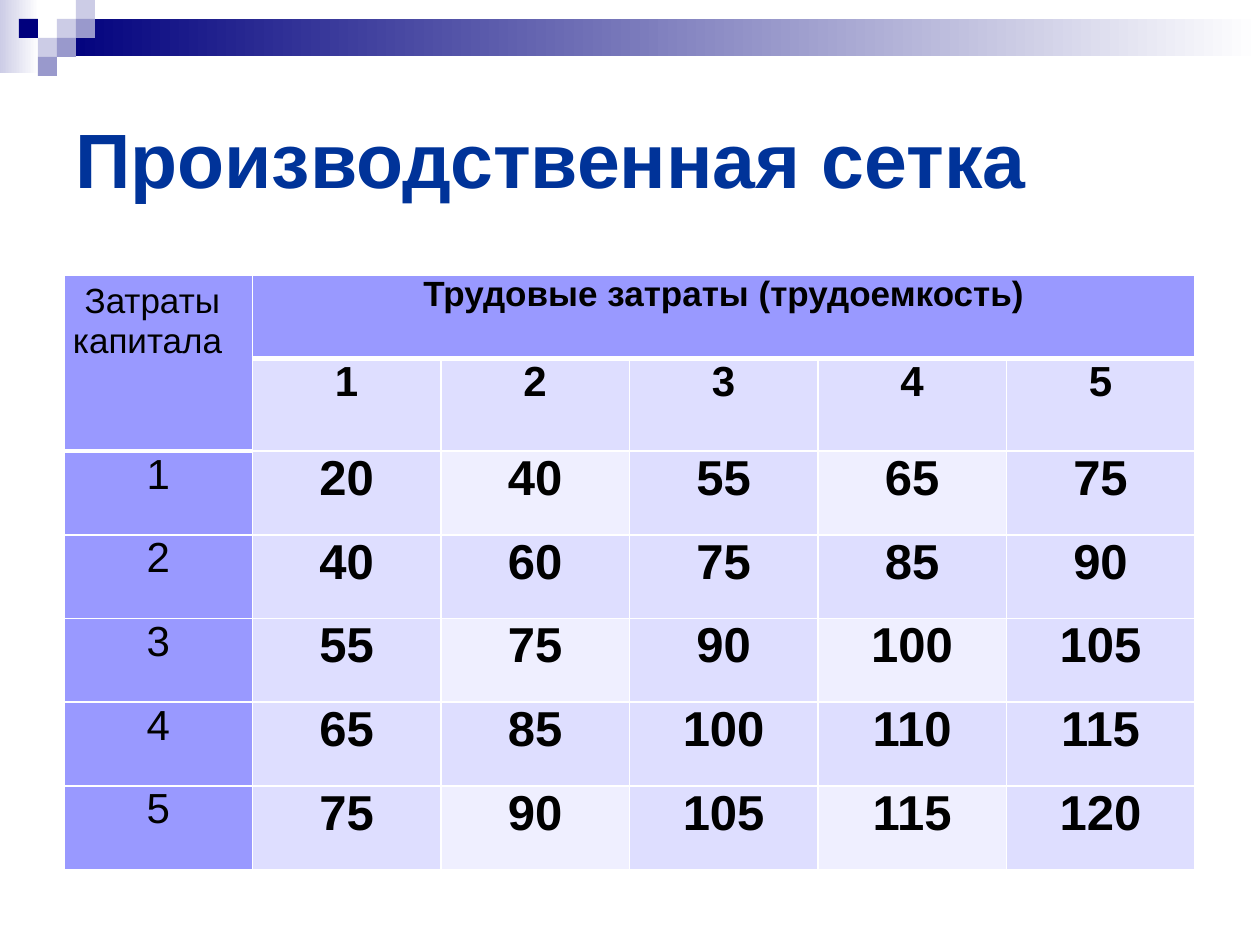
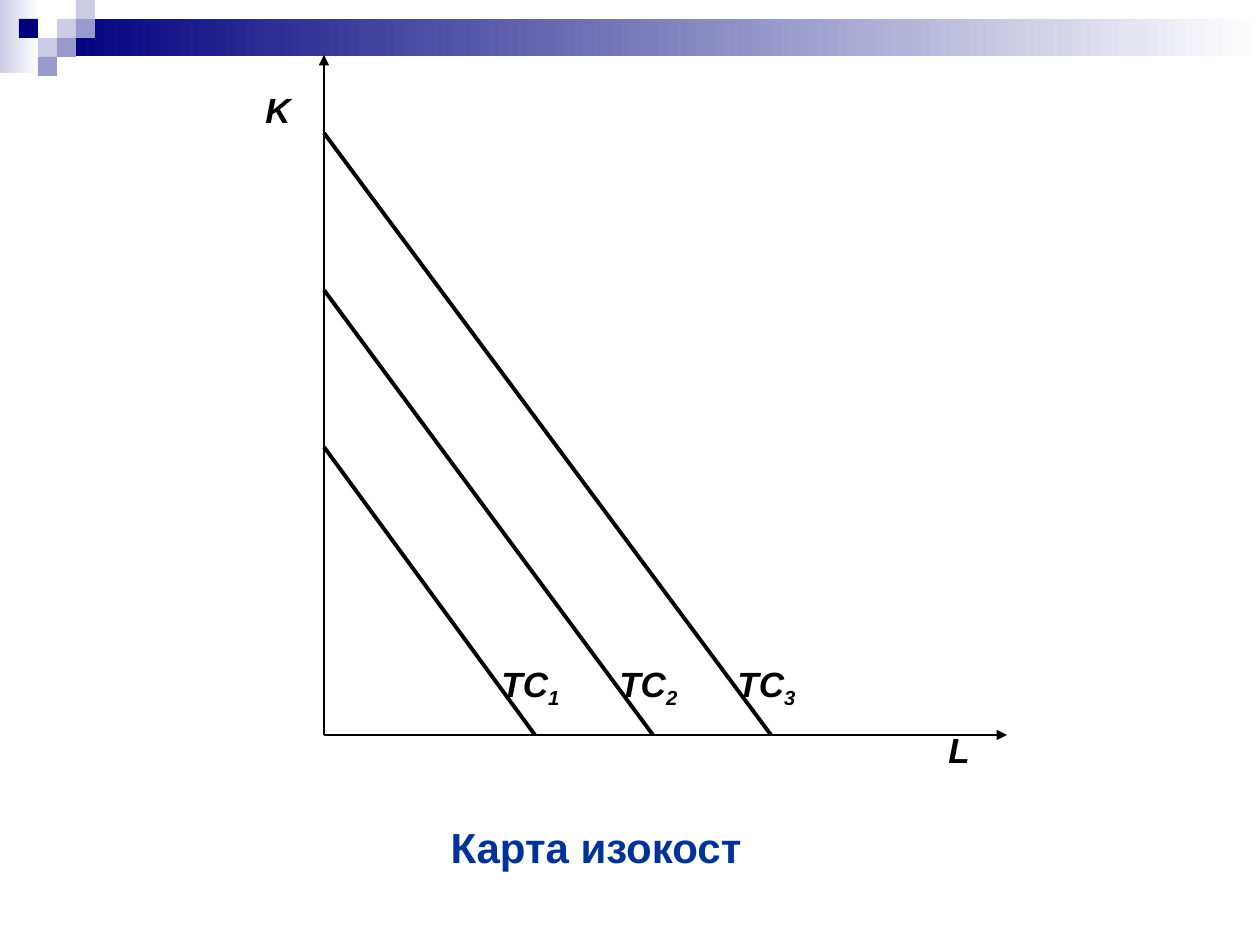
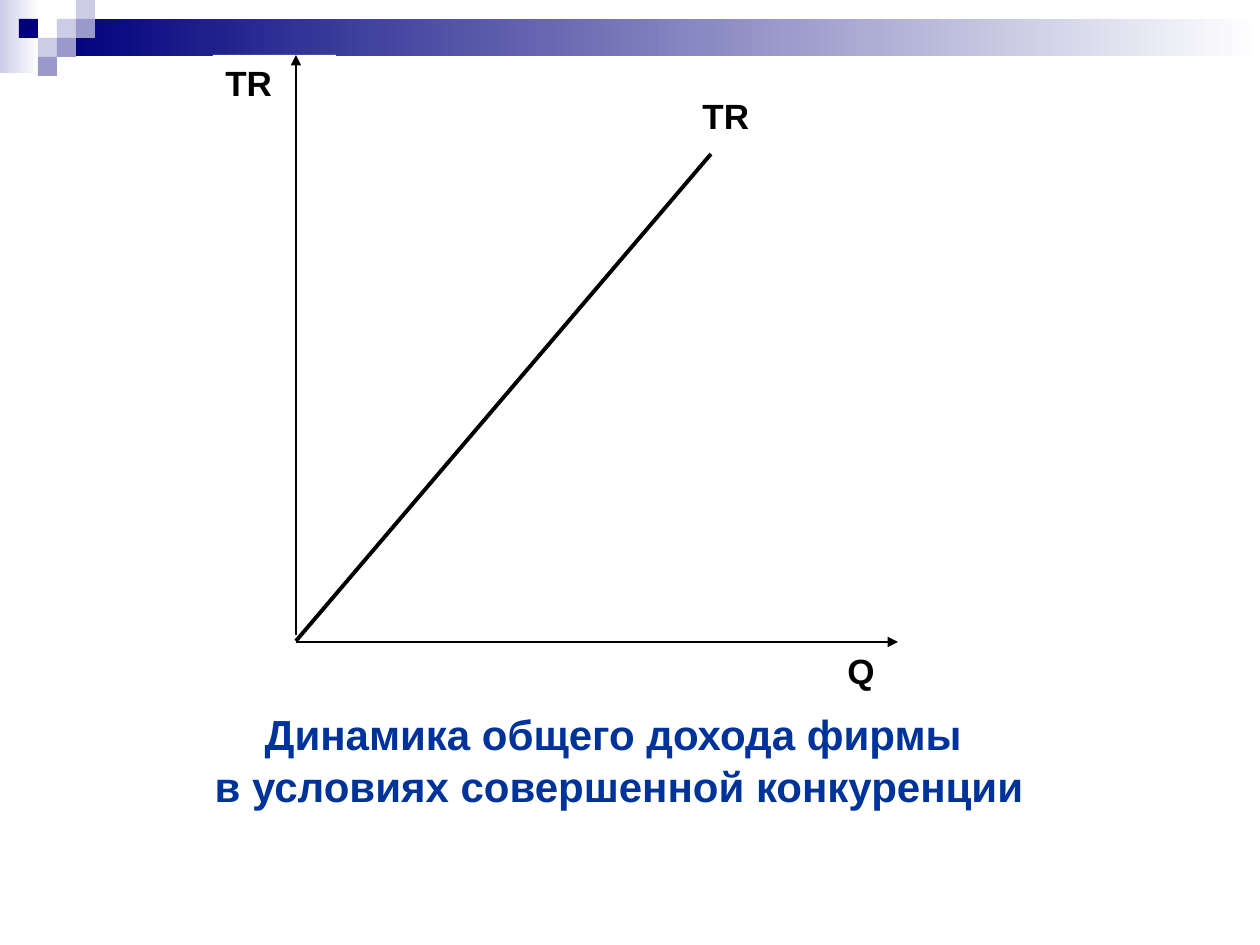
from lxml import etree
from pptx import Presentation
from pptx.dml.color import RGBColor
from pptx.enum.shapes import MSO_CONNECTOR, MSO_SHAPE
from pptx.enum.text import MSO_ANCHOR, PP_ALIGN
from pptx.oxml.ns import qn
from pptx.util import Emu, Pt

EMU_PER_PX = 914400 / 126
FONT = "Arial"
RECTANGLE = MSO_SHAPE.RECTANGLE
STRAIGHT = MSO_CONNECTOR.STRAIGHT
LEFT, CENTER = PP_ALIGN.LEFT, PP_ALIGN.CENTER
TOP, MIDDLE = MSO_ANCHOR.TOP, MSO_ANCHOR.MIDDLE

COLORS = {
    "white": "FFFFFF",
    "black": "000000",
    "title": "003399",
    "navy": "00007D",
    "lavender": "CCCCE6",
    "violet": "9999CC",
    "table_head": "9999FF",
    "table_body": "DEDEFF",
    "table_light": "EFEFFF",
}

SQUARE = 19
SQUARES = [  # column, row, color
    (3, 1, "lavender"), (4, 0, "lavender"), (4, 1, "violet"),
    (2, 2, "lavender"), (1, 1, "navy"), (3, 2, "violet"), (2, 3, "violet"),
]

OUTPUT = [
    [20, 40, 55, 65, 75],
    [40, 60, 75, 85, 90],
    [55, 75, 90, 100, 105],
    [65, 85, 100, 110, 115],
    [75, 90, 105, 115, 120],
]


def px(length):
    return Emu(round(length * EMU_PER_PX))


def rgb(name):
    return RGBColor.from_string(COLORS[name])


def format_run(run, size, color="black", bold=True, italic=False):
    font = run.font
    font.name, font.size = FONT, Pt(size)
    font.bold, font.italic = bold, italic
    font.color.rgb = rgb(color)


def add_rectangle(slide, left, top, width, height, color, end_color=None):
    """Add a borderless rectangle, shaded left to right if end_color is given."""
    shape = slide.shapes.add_shape(RECTANGLE, px(left), px(top), px(width), px(height))
    shape.shadow.inherit = False
    shape.line.fill.background()
    if end_color:
        shape.fill.gradient()
        shape.fill.gradient_angle = 0
        for stop, name in zip(shape.fill.gradient_stops, (color, end_color)):
            stop.color.rgb = rgb(name)
    else:
        shape.fill.solid()
        shape.fill.fore_color.rgb = rgb(color)
    return shape


def add_decorated_slide(presentation):
    slide = presentation.slides.add_slide(presentation.slide_layouts[6])
    add_rectangle(slide, 0, 0, 39, 73, "lavender", "white")
    add_rectangle(slide, 57, 19, 1203, 37, "navy", "white")
    for column, row, color in SQUARES:
        add_rectangle(slide, column * SQUARE, row * SQUARE, SQUARE, SQUARE, color)
    return slide


def add_heading(slide, left, top, width, height, lines, size, alignment=CENTER):
    box = slide.shapes.add_textbox(px(left), px(top), px(width), px(height))
    text_frame = box.text_frame
    text_frame.word_wrap = True
    text_frame.vertical_anchor = MIDDLE
    text_frame.text = "\n".join(lines)
    for index, paragraph in enumerate(text_frame.paragraphs):
        paragraph.alignment = alignment
        if index:
            paragraph.space_before = Pt(1)
        format_run(paragraph.runs[0], size, "title")


def add_label(slide, left, top, width, text, subscript="", italic=False):
    shape = add_rectangle(slide, left, top, width, 78, "white")
    text_frame = shape.text_frame
    text_frame.vertical_anchor = TOP
    text_frame.text = text
    paragraph = text_frame.paragraphs[0]
    paragraph.alignment = LEFT
    if subscript:
        run = paragraph.add_run()
        run.text = subscript
        run._r.get_or_add_rPr().set("baseline", "-25000")
    for run in paragraph.runs:
        format_run(run, 20, italic=italic)


def add_line(slide, start, end, weight=2.25):
    line = slide.shapes.add_connector(STRAIGHT, *map(px, start + end))
    line.line.color.rgb = rgb("black")
    line.line.width = Pt(weight)
    etree.SubElement(line._element.spPr, qn("a:effectLst"))
    return line


def add_axis(slide, start, end):
    axis = add_line(slide, start, end, 1.5)
    etree.SubElement(axis.line._get_or_add_ln(), qn("a:tailEnd"), type="triangle")


def set_borders(cell, **widths):
    """Draw white borders; widths are points for L, R, T and B."""
    properties = cell._tc.get_or_add_tcPr()
    for side in "LRTB":
        width = str(Pt(widths.get(side, 1)))
        border = etree.SubElement(properties, qn(f"a:ln{side}"), w=width)
        fill = etree.SubElement(border, qn("a:solidFill"))
        etree.SubElement(fill, qn("a:srgbClr"), val=COLORS["white"])


def style_cell(cell, row, column):
    last_head_row = 1 if column == 0 else 0
    set_borders(cell, B=3 if row <= last_head_row else 1,
                T=3 if row == last_head_row + 1 else 1)
    cell.margin_left = cell.margin_right = px(9)
    cell.margin_top = cell.margin_bottom = 0
    if row == 0 or column == 0:
        color = "table_head"
    elif row % 2 == 0 and column % 2 == 0:
        color = "table_light"
    else:
        color = "table_body"
    cell.fill.solid()
    cell.fill.fore_color.rgb = rgb(color)


def fill_cell(cell, text, size, bold=True):
    cell.text_frame.text = text
    paragraph = cell.text_frame.paragraphs[0]
    paragraph.alignment = CENTER
    format_run(paragraph.runs[0], size, bold=bold)


def add_production_table(slide):
    row_count, column_count = len(OUTPUT) + 2, len(OUTPUT[0]) + 1
    frame = slide.shapes.add_table(row_count, column_count,
                                   px(64), px(275), px(1131), px(586))
    table = frame.table
    for table_row in table.rows:
        table_row.height = px(586 / row_count)
    for row in range(row_count):
        for column in range(column_count):
            style_cell(table.cell(row, column), row, column)
    table.cell(0, 0).merge(table.cell(1, 0))
    table.cell(0, 1).merge(table.cell(0, column_count - 1))

    capital = table.cell(0, 0).text_frame.paragraphs[0]
    for text, size in ((" ", 24), ("Затраты капитала", 20)):
        run = capital.add_run()
        run.text = text
        format_run(run, size, bold=False)
    fill_cell(table.cell(0, 1), "Трудовые затраты (трудоемкость)", 20)
    for column in range(1, column_count):
        fill_cell(table.cell(1, column), str(column), 24)
    for number, values in enumerate(OUTPUT, 1):
        fill_cell(table.cell(number + 1, 0), str(number), 24, bold=False)
        for column, value in enumerate(values, 1):
            fill_cell(table.cell(number + 1, column), str(value), 28)


def build_production_grid(presentation):
    slide = add_decorated_slide(presentation)
    add_heading(slide, 63, 63, 1134, 189, ["Производственная сетка"], 44, LEFT)
    add_production_table(slide)


def build_isocost_map(presentation):
    slide = add_decorated_slide(presentation)
    origin_x, origin_y = 324, 735
    step_x, step_y = 118, 157
    add_label(slide, 253, 82, 71, "K", italic=True)
    add_label(slide, 936, 722, 71, "L", italic=True)
    for index in reversed(range(3)):
        add_label(slide, 489 + step_x * index, 656, 94, "ТС", str(index + 1), italic=True)
    add_axis(slide, (origin_x, origin_y), (origin_x, 55))
    add_axis(slide, (origin_x, origin_y), (1007, origin_y))
    for index in range(3):
        add_line(slide, (origin_x, 447 - step_y * index),
                 (535 + step_x * index, origin_y))
    add_heading(slide, 417, 815, 358, 63, ["Карта изокост"], 24)


def build_total_revenue(presentation):
    slide = add_decorated_slide(presentation)
    add_label(slide, 690, 88, 83, "TR")
    add_label(slide, 835, 643, 58, "Q")
    add_label(slide, 213, 55, 123, "TR")
    add_axis(slide, (296, 635), (296, 55))
    add_line(slide, (296, 641), (711, 154))
    add_axis(slide, (296, 642), (898, 642))
    add_heading(slide, 44, 704, 1150, 112,
                ["Динамика общего дохода фирмы ", "в условиях совершенной конкуренции"], 24)


def main():
    presentation = Presentation()
    presentation.slide_width, presentation.slide_height = px(1260), px(945)
    build_production_grid(presentation)
    build_isocost_map(presentation)
    build_total_revenue(presentation)
    presentation.save("out.pptx")


if __name__ == "__main__":
    main()
